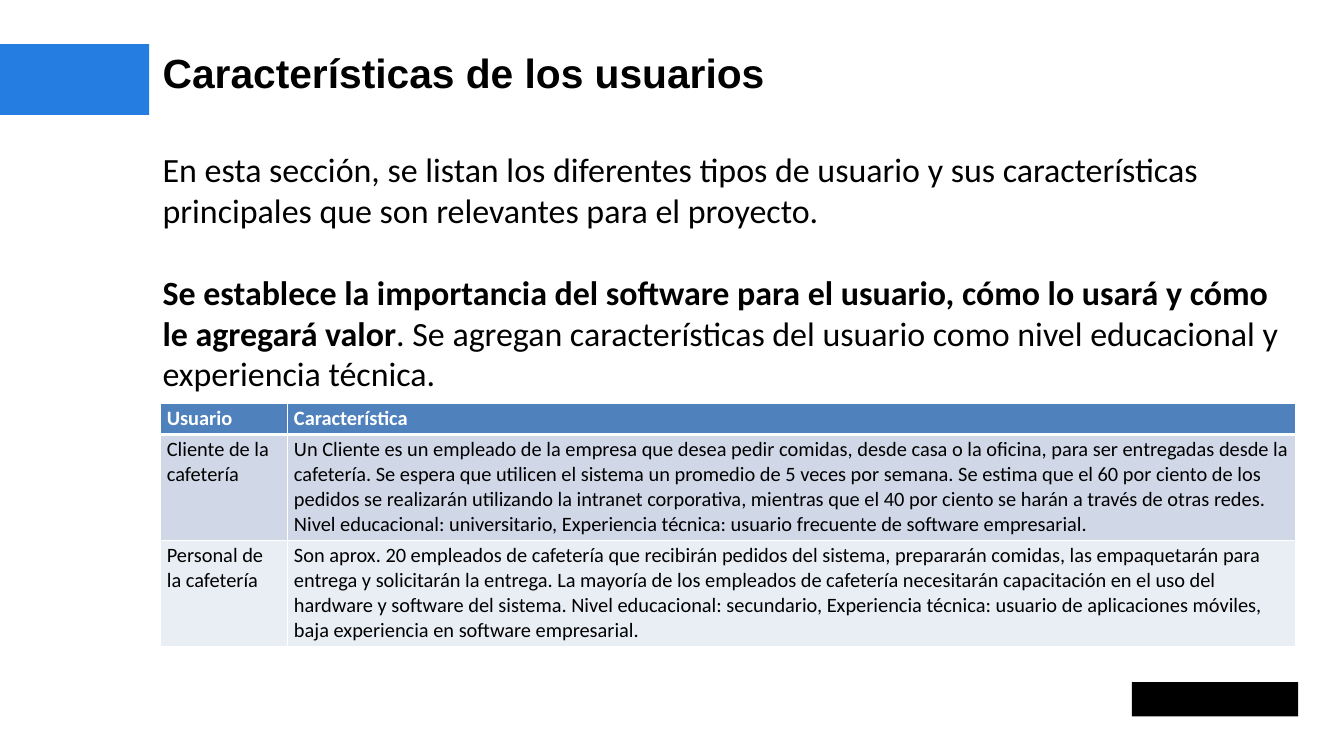
from dataclasses import dataclass

from lxml.etree import SubElement
from pptx import Presentation
from pptx.dml.color import RGBColor
from pptx.enum.shapes import MSO_SHAPE as Preset
from pptx.enum.text import MSO_ANCHOR as Anchor, MSO_AUTO_SIZE as AutoSize, PP_ALIGN as Align
from pptx.oxml.ns import qn
from pptx.util import Emu, Inches, Pt


@dataclass(frozen=True)
class Theme:
    bar: str = "257CE1"
    ink: str = "000000"
    paper: str = "FFFFFF"
    header: str = "4F81BD"
    bands: tuple[str, str] = ("D0D8E8", "E9EDF4")
    title_font: str = "Arial"
    text_font: str = "Calibri"
    title_size: float = 48
    body_size: float = 40
    table_size: float = 24
    body_gap: float = 48.8
    thin: float = 1
    thick: float = 3


@dataclass(frozen=True)
class Area:
    """A rectangle in percent of the slide's width and height."""
    left: float
    top: float
    width: float
    height: float


@dataclass(frozen=True)
class Span:
    text: str
    bold: bool = False


@dataclass(frozen=True)
class Block:
    area: Area
    color: str


@dataclass(frozen=True)
class Row:
    cells: tuple[str, str]
    fill: str
    height: float
    header: bool = False


THEME = Theme()
WIDTH, HEIGHT = Inches(21.99), Inches(12.37)

BLOCKS = (
    Block(Area(0, 5.82, 11.1, 9.38), THEME.bar),
    Block(Area(84.22, 90.22, 12.37, 4.53), THEME.ink),  # plain brand mark
)
TITLE_AREA = Area(12.1, 6.31, 84.49, 6.55)
BODY_AREA = Area(12.1, 19.64, 84.49, 32.66)
TABLE_AREA = Area(11.96, 53.36, 84.45, 32.1)
COLUMNS = (9.46, 74.99)

TITLE = Span("Características de los usuarios", True)
BODY = (
    (Span("En esta sección, se listan los diferentes tipos de usuario y sus características "
          "principales que son relevantes para el proyecto."),),
    (Span("Se establece la importancia del software para el usuario, cómo lo usará y cómo "
          "le agregará valor", True),
     Span(". Se agregan características del usuario como nivel educacional y experiencia técnica.")),
)
ROWS = (
    Row(("Usuario", "Característica"), THEME.header, 4.12, True),
    Row(("Cliente de la cafetería",
         "Un Cliente es un empleado de la empresa que desea pedir comidas, desde casa o la oficina, "
         "para ser entregadas desde la cafetería. Se espera que utilicen el sistema un promedio de "
         "5 veces por semana. Se estima que el 60 por ciento de los pedidos se realizarán utilizando "
         "la intranet corporativa, mientras que el 40 por ciento se harán a través de otras redes. "
         "Nivel educacional: universitario, Experiencia técnica: usuario frecuente de software "
         "empresarial."), THEME.bands[0], 13.99),
    Row(("Personal de la cafetería",
         "Son aprox. 20 empleados de cafetería que recibirán pedidos del sistema, prepararán comidas, "
         "las empaquetarán para entrega y solicitarán la entrega. La mayoría de los empleados de "
         "cafetería necesitarán capacitación en el uso del hardware y software del sistema. Nivel "
         "educacional: secundario, Experiencia técnica: usuario de aplicaciones móviles, baja "
         "experiencia en software empresarial."), THEME.bands[1], 13.99),
)


def across(share: float) -> Emu:
    return Emu(round(WIDTH * share / 100))


def down(share: float) -> Emu:
    return Emu(round(HEIGHT * share / 100))


def bounds(area: Area) -> tuple[Emu, Emu, Emu, Emu]:
    return across(area.left), down(area.top), across(area.width), down(area.height)


def add_span(para, span: Span, font: str, size: float, color: str) -> None:
    run = para.add_run()
    run.text = span.text
    run.font.name = font
    run.font.size = Pt(size)
    run.font.bold = span.bold
    run.font.color.rgb = RGBColor.from_string(color)


def add_block(page, block: Block) -> None:
    box = page.shapes.add_shape(Preset.RECTANGLE, *bounds(block.area))
    box.shadow.inherit = False
    box.fill.solid()
    box.fill.fore_color.rgb = RGBColor.from_string(block.color)
    box.line.fill.background()


def place_text(holder, area: Area, anchor: Anchor):
    holder.left, holder.top, holder.width, holder.height = bounds(area)
    frame = holder.text_frame
    frame.margin_left = frame.margin_top = frame.margin_right = frame.margin_bottom = 0
    frame.word_wrap = True
    frame.auto_size = AutoSize.NONE
    frame.vertical_anchor = anchor
    return frame


def fill_title(holder) -> None:
    para = place_text(holder, TITLE_AREA, Anchor.MIDDLE).paragraphs[0]
    para.alignment = Align.LEFT
    add_span(para, TITLE, THEME.title_font, THEME.title_size, THEME.ink)


def fill_body(holder) -> None:
    frame = place_text(holder, BODY_AREA, Anchor.TOP)
    for index, spans in enumerate(BODY):
        para = frame.add_paragraph() if index else frame.paragraphs[0]
        para.space_before = Pt(THEME.body_gap if index else 0)
        # No bullet and no hanging indent
        props = para._p.get_or_add_pPr()
        props.set("marL", "0")
        props.set("indent", "0")
        SubElement(props, qn("a:buNone"))
        for span in spans:
            add_span(para, span, THEME.text_font, THEME.body_size, THEME.ink)


def set_borders(cell, top: float, bottom: float) -> None:
    props = cell._tc.get_or_add_tcPr()
    sides = (("L", THEME.thin), ("R", THEME.thin), ("T", top), ("B", bottom))
    for index, (side, weight) in enumerate(sides):
        line = SubElement(props, qn(f"a:ln{side}"), w=str(Pt(weight)))
        paint = SubElement(line, qn("a:solidFill"))
        SubElement(paint, qn("a:srgbClr"), val=THEME.paper)
        props.insert(index, line)  # borders come before the fill


def add_users_table(page) -> None:
    table = page.shapes.add_table(len(ROWS), len(COLUMNS), *bounds(TABLE_AREA)).table
    table.horz_banding = False
    for column, share in zip(table.columns, COLUMNS):
        column.width = across(share)
    for index, row in enumerate(ROWS):
        table.rows[index].height = down(row.height)
        color = THEME.paper if row.header else THEME.ink
        top = THEME.thick if index == 1 else THEME.thin
        bottom = THEME.thick if row.header else THEME.thin
        for cell, text in zip(table.rows[index].cells, row.cells):
            cell.fill.solid()
            cell.fill.fore_color.rgb = RGBColor.from_string(row.fill)
            set_borders(cell, top, bottom)
            add_span(cell.text_frame.paragraphs[0], Span(text, row.header),
                     THEME.text_font, THEME.table_size, color)


def main() -> None:
    deck = Presentation()
    deck.slide_width, deck.slide_height = WIDTH, HEIGHT
    page = deck.slides.add_slide(deck.slide_layouts[1])

    # Accent bar and brand mark
    for block in BLOCKS:
        add_block(page, block)

    # Title and introduction
    fill_title(page.shapes.title)
    fill_body(page.placeholders[1])

    # User types
    add_users_table(page)
    deck.save("out.pptx")


if __name__ == "__main__":
    main()
